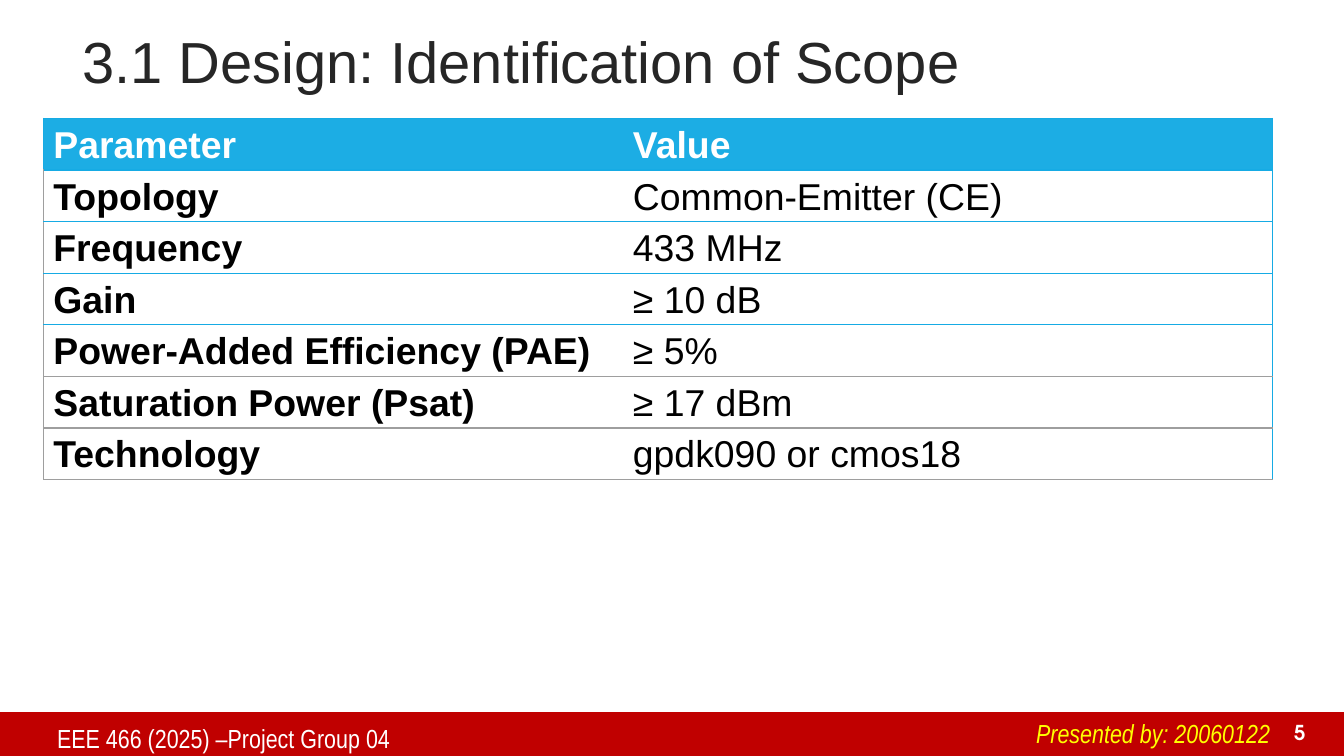
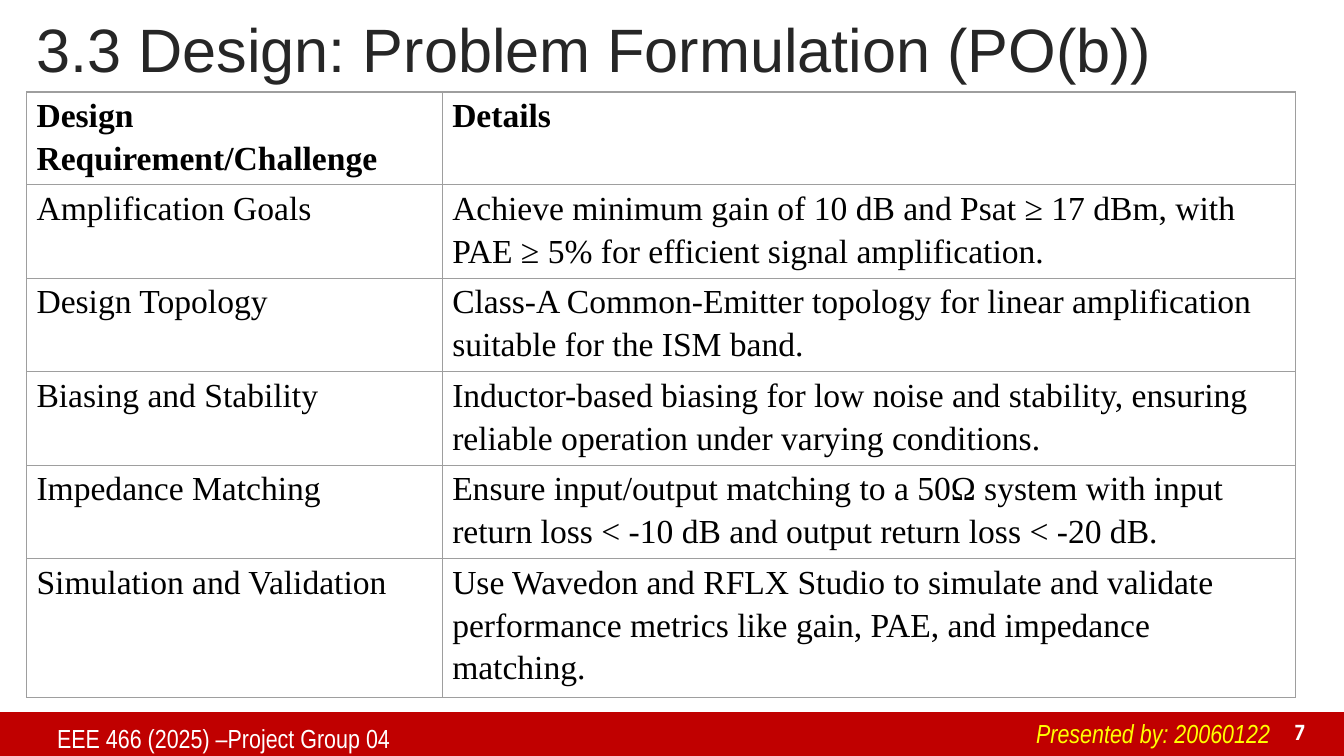
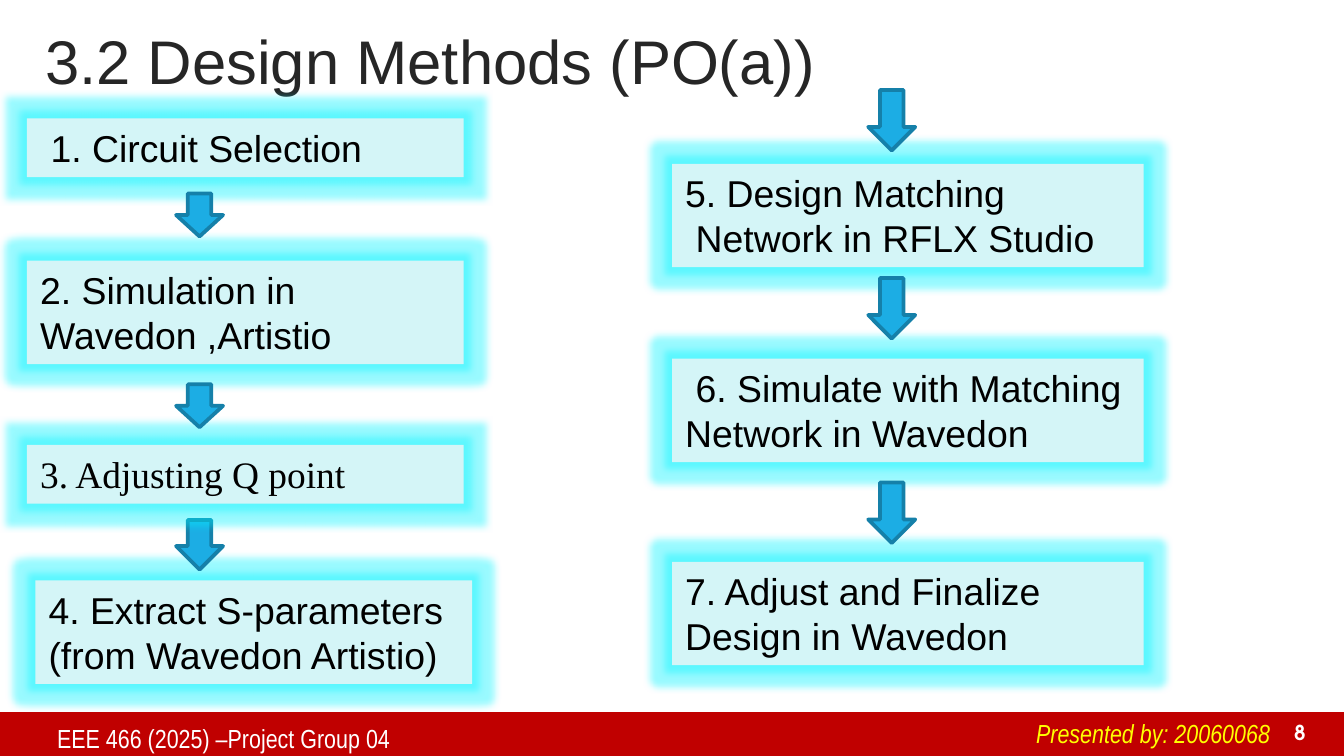
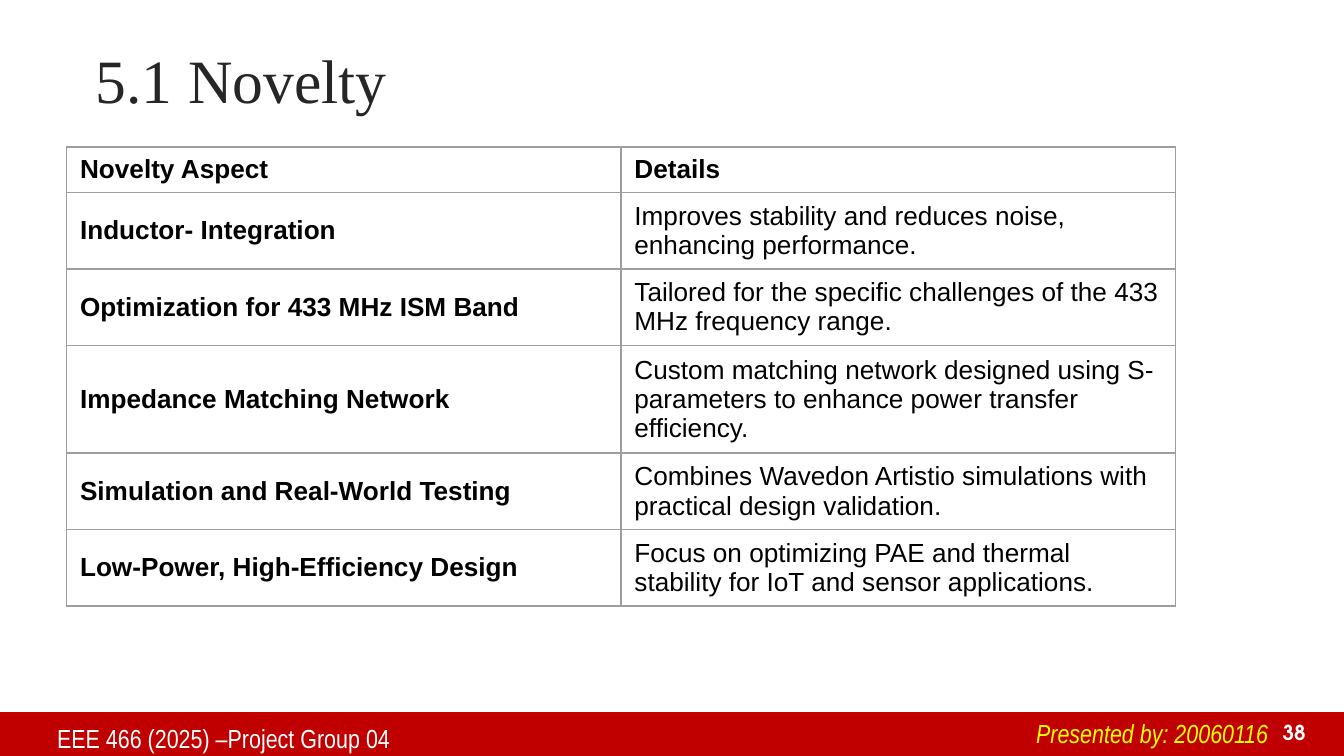
import pptx
import pptx.dml.color
import pptx.enum.shapes
import pptx.enum.text
import pptx.oxml
import pptx.oxml.ns
import pptx.util

Pt = pptx.util.Pt
SHAPES = pptx.enum.shapes.MSO_SHAPE
ALIGN = pptx.enum.text.PP_ALIGN
ANCHOR = pptx.enum.text.MSO_ANCHOR
FIT = pptx.enum.text.MSO_AUTO_SIZE

COLORS = {"band": "C00000", "title": "262626", "text": "000000", "white": "FFFFFF",
          "presenter": "FFFF00", "accent": "1CADE4", "arrow_line": "1580A9",
          "rule": "16ABE4", "grid": "9E9E9E", "step": "D4F5F7", "glow": "00F4FF"}
SANS, NARROW, SERIF = "Arial", "Arial Narrow", "Times New Roman"
NUMBER_FONT = "TeX Gyre Adventor"
COURSE = "EEE 466 (2025) –Project Group 04"
NO_STYLE = "{2D5ABB26-0587-4C30-8999-92F81FD0307C}"
TIGHT = (5.2, 3.6, 5.2, 3.6)
ROOMY = (7.2, 3.6, 7.2, 3.6)

# Content
SCOPE = [
    ("Parameter", "Value"),
    ("Topology", "Common-Emitter (CE)"),
    ("Frequency", "433 MHz"),
    ("Gain", "≥ 10 dB"),
    ("Power-Added Efficiency (PAE)", "≥ 5%"),
    ("Saturation Power (Psat)", "≥ 17 dBm"),
    ("Technology", "gpdk090 or cmos18"),
]
PROBLEM = [
    ("Design Requirement/Challenge", "Details"),
    ("Amplification Goals", "Achieve minimum gain of 10 dB and Psat ≥ 17 dBm, with PAE ≥ 5% "
     "for efficient signal amplification."),
    ("Design Topology", "Class-A Common-Emitter topology for linear amplification suitable "
     "for the ISM band."),
    ("Biasing and Stability", "Inductor-based biasing for low noise and stability, ensuring "
     "reliable operation under varying conditions."),
    ("Impedance Matching", "Ensure input/output matching to a 50Ω system with input return "
     "loss < -10 dB and output return loss < -20 dB."),
    ("Simulation and Validation", "Use Wavedon and RFLX Studio to simulate and validate "
     "performance metrics like gain, PAE, and impedance matching."),
]
NOVELTY = [
    ("Novelty Aspect", "Details"),
    ("Inductor- Integration", "Improves stability and reduces noise, enhancing performance."),
    ("Optimization for 433 MHz ISM Band", "Tailored for the specific challenges of the "
     "433 MHz frequency range."),
    ("Impedance Matching Network", "Custom matching network designed using S-parameters to "
     "enhance power transfer efficiency."),
    ("Simulation and Real-World Testing", "Combines Wavedon Artistio simulations with "
     "practical design validation."),
    ("Low-Power, High-Efficiency Design", "Focus on optimizing PAE and thermal stability for "
     "IoT and sensor applications."),
]

# Columns of the flow: box left, box width, arrow left
LEFT, RIGHT = (14.4, 234, 94.3), (360, 252.7, 465.1)
# Steps: column, shift, top, text rows, font, (indent, text) lines, arrow (top, height)
STEPS = [
    (LEFT, 0, 63.4, 1, SANS, [(5.6, "1. Circuit Selection")], None),
    (LEFT, 0, 139.7, 2, SANS, [(0, "2. Simulation in Wavedon ,Artistio")], (103.7, 23)),
    (LEFT, 4.5, 311, 2, SANS, [(0, "4. Extract S-parameters"),
                               (0, "(from Wavedon Artistio)")], (278.6, 26.6)),
    (LEFT, 0, 238.3, 1, SERIF, [(0, "3. Adjusting Q point")], (205.9, 23)),
    (RIGHT, 0, 87.8, 2, SANS, [(0, "5. Design Matching"),
                               (5.6, "Network in RFLX Studio")], (48.2, 32.4)),
    (RIGHT, 0, 192.2, 2, SANS, [(5.6, "6. Simulate with Matching"),
                                (0, "Network in Wavedon")], (149, 32.4)),
    (RIGHT, 0, 301, 2, SANS, [(0, "7. Adjust and Finalize"),
                              (0, "Design in Wavedon")], (258.5, 32.4)),
]


def points(*values):
    return [Pt(value) for value in values]


def rgb(name):
    return pptx.dml.color.RGBColor.from_string(COLORS[name])


def style_text(para, color, **formats):
    span = para.runs[0]
    span.font.color.rgb = rgb(color)
    for name, value in formats.items():
        setattr(span.font, name, Pt(value) if name == "size" else value)


def style_frame(frame, insets, **formats):
    sides = ("margin_left", "margin_top", "margin_right", "margin_bottom")
    formats.update(zip(sides, points(*insets)))
    for name, value in formats.items():
        setattr(frame, name, value)


def add_label(page, place, text, color, insets=TIGHT, anchor=ANCHOR.TOP, wrap=True,
              align=ALIGN.LEFT, **formats):
    frame = page.shapes.add_textbox(*points(*place)).text_frame
    style_frame(frame, insets, word_wrap=wrap, vertical_anchor=anchor)
    para = frame.paragraphs[0]
    para.text, para.alignment = text, align
    style_text(para, color, **formats)


def add_box(page, kind, place, fill, line=None):
    box = page.shapes.add_shape(kind, *points(*place))
    box.shadow.inherit = False
    box.fill.solid()
    box.fill.fore_color.rgb = rgb(fill)
    if line:
        box.line.color.rgb = rgb(line)
        box.line.width = Pt(2)
    else:
        box.line.fill.background()
    return box


def add_page(deck, title, place, size, number, presenter, font=SANS, insets=TIGHT):
    """Add a slide with its title and footer texts."""
    page = deck.slides.add_slide(deck.slide_layouts[5])
    heading = page.shapes.title
    heading.left, heading.top, heading.width, heading.height = points(*place)
    style_frame(heading.text_frame, insets, word_wrap=True, vertical_anchor=ANCHOR.MIDDLE,
                auto_size=FIT.NONE)
    para = heading.text_frame.paragraphs[0]
    para.text, para.alignment, para.line_spacing = title, ALIGN.LEFT, 0.9
    style_text(para, "title", size=size, name=font)

    add_label(page, (25.4, 383.2, 285, 22.3), COURSE, "white", size=14, name=NARROW)
    add_label(page, (548, 380.9, 141, 24.5), "Presented by: " + presenter, "presenter",
              ROOMY, wrap=False, size=14, name=NARROW, italic=True)
    add_label(page, (673.6, 384.4, 31, 18), str(number), "white", anchor=ANCHOR.BOTTOM,
              align=ALIGN.RIGHT, size=11, name=NUMBER_FONT, bold=True)
    return page


def set_borders(cell, borders):
    """Draw the sides given as {side: colour}, in the order the format asks for."""
    properties = cell._tc.get_or_add_tcPr()
    for index, side in enumerate(side for side in "LRTB" if side in borders):
        properties.insert(index, pptx.oxml.parse_xml(
            f'<a:ln{side} {pptx.oxml.ns.nsdecls("a")} w="9525"><a:solidFill>'
            f'<a:srgbClr val="{COLORS[borders[side]]}"/></a:solidFill></a:ln{side}>'))


def full_grid(row, column):
    return dict.fromkeys("LRTB", "grid")


def scope_rules(row, column):
    """Outer frame and row rules only, the lower ones in grey."""
    borders = {"T": "rule" if row < 5 else "grid", "B": "rule" if row < 4 else "grid"}
    if column == 0:
        borders["L"] = "grid" if row else "rule"
    else:
        borders["R"] = "rule"
    return borders


def add_grid(page, content, corner, widths, heights, size, font, borders, insets,
             spacing=None, anchor=ANCHOR.TOP, bold_first=True, header_fill=None):
    frame = page.shapes.add_table(len(content), len(widths),
                                  *points(*corner, sum(widths), sum(heights)))
    table = frame.table
    table._tbl.tblPr.find(pptx.oxml.ns.qn("a:tableStyleId")).text = NO_STYLE
    table.first_row = table.horz_banding = False
    for column, width in zip(table.columns, widths):
        column.width = Pt(width)
    for row, height in zip(table.rows, heights):
        row.height = Pt(height)
    for r, texts in enumerate(content):
        for c, text in enumerate(texts):
            cell = table.cell(r, c)
            cell.text = text
            style_frame(cell, insets, vertical_anchor=anchor)
            filled = header_fill and r == 0
            if filled:
                cell.fill.solid()
                cell.fill.fore_color.rgb = rgb(header_fill)
            else:
                cell.fill.background()
            set_borders(cell, borders(r, c))
            para = cell.text_frame.paragraphs[0]
            para.line_spacing = spacing
            style_text(para, "white" if filled else "text", size=size, name=font,
                       bold=r == 0 or (bold_first and c == 0))


def add_step(page, column, shift, top, rows, font, lines, arrow):
    left, width, arrow_left = column
    box = add_box(page, SHAPES.RECTANGLE, (left + shift, top, width, 7.6 + 23.9 * rows), "step")
    effects = box._element.spPr.find(pptx.oxml.ns.qn("a:effectLst"))
    effects.append(pptx.oxml.parse_xml(
        f'<a:glow {pptx.oxml.ns.nsdecls("a")} rad="101600"><a:srgbClr val="{COLORS["glow"]}">'
        '<a:alpha val="40000"/></a:srgbClr></a:glow>'))
    frame = box.text_frame
    style_frame(frame, ROOMY, word_wrap=True, vertical_anchor=ANCHOR.TOP)
    for index, (indent, text) in enumerate(lines):
        para = frame.add_paragraph() if index else frame.paragraphs[0]
        para.text, para.alignment = text, ALIGN.LEFT
        para._p.get_or_add_pPr().set("marL", str(Pt(indent)))
        style_text(para, "text", size=20, name=font)
    if arrow:
        add_box(page, SHAPES.DOWN_ARROW, (arrow_left, arrow[0], 25.2, arrow[1]),
                "accent", "arrow_line")


def main():
    deck = pptx.Presentation()
    deck.slide_width, deck.slide_height = points(720, 405)

    # Scope
    page = add_page(deck, "3.1 Design: Identification of Scope", (31.7, 0, 656.6, 69.8), 31,
                    5, "20060122", insets=(12.4, 3.6, 5.2, 3.6))
    # The red band belongs to the master, so every slide shows it
    band = add_box(page, SHAPES.RECTANGLE, (0, 381.6, 720, 24.5), "band")
    deck.slide_master.shapes._spTree.insert(2, band._element)
    add_grid(page, SCOPE, (23.4, 63.4), (310.5, 348), [25.3] * 7, 20, SANS, scope_rules,
             (5.2, 0, 5.2, 0), spacing=1.15, header_fill="accent")

    # Problem formulation
    page = add_page(deck, "3.3 Design: Problem Formulation (PO(b))", (14.4, 6.5, 629.3, 43.2),
                    32.8, 7, "20060122")
    add_grid(page, PROBLEM, (14.4, 49.3), (222.7, 457), [40.3] + [50.1] * 4 + [67], 18, SERIF,
             full_grid, (5.2, 0, 5.2, 0), spacing=1.15, bold_first=False)

    # Design methods
    page = add_page(deck, "3.2 Design Methods (PO(a))", (19, 13, 594, 43.2), 33,
                    8, "20060068")
    for step in STEPS:
        add_step(page, *step)

    # Novelty
    page = add_page(deck, "5.1 Novelty", (46.1, 23, 594, 43.2), 33, 38, "20060116", font=SERIF)
    add_grid(page, NOVELTY, (35.7, 78.8), (297, 297), [24.3, 41, 41, 57.6, 41, 41], 14, SANS,
             full_grid, ROOMY, anchor=ANCHOR.MIDDLE)

    deck.save("out.pptx")


if __name__ == "__main__":
    main()
